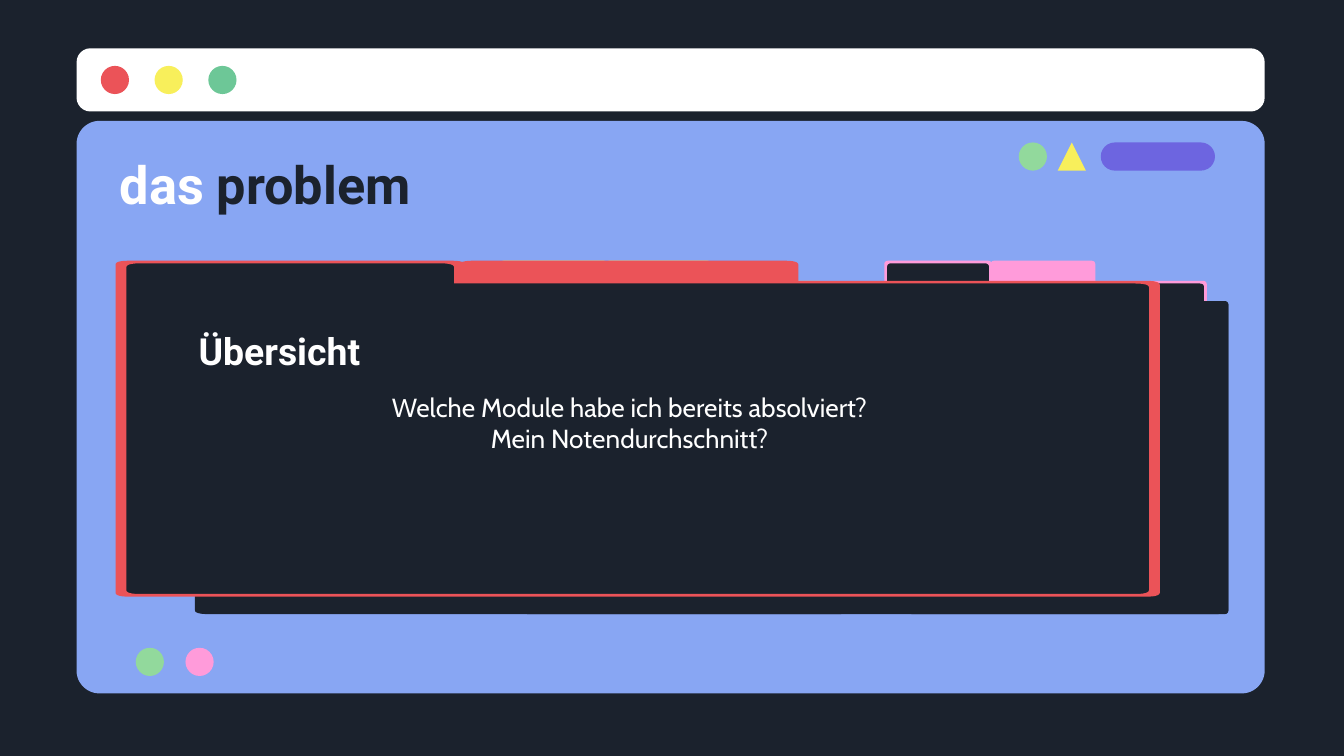
from dataclasses import dataclass
from typing import NamedTuple

from pptx import Presentation
from pptx.dml.color import RGBColor
from pptx.enum.shapes import MSO_SHAPE
from pptx.enum.text import MSO_ANCHOR, MSO_AUTO_SIZE, PP_ALIGN
from pptx.util import Inches, Pt


@dataclass(frozen=True)
class Theme:
    dark: str = "1B222D"
    white: str = "FFFFFF"
    blue: str = "88A6F3"
    red: str = "EB5358"
    yellow: str = "F8EF5B"
    green: str = "6DC797"
    mint: str = "92D99C"
    pink: str = "FF9BDA"
    purple: str = "6D65E0"
    heading_font: str = "Roboto"
    body_font: str = "Cabin"
    title_size: int = 28
    heading_size: int = 20
    body_size: int = 14


class Shape(NamedTuple):
    kind: MSO_SHAPE
    left: float
    top: float
    width: float
    height: float
    color: str
    adj: float | None = None


class Folder(NamedTuple):
    left: float
    width: float
    tab: float
    border: float
    back: float
    radius: float
    color: str


class Corner(NamedTuple):
    x: float
    y: float
    rounded: bool = True


T = Theme()
DOT = 0.21
FOLDER_TOP = 1.94
FOLDER_HEIGHT = 2.5
TAB_DROP = 0.15
BACK_DROP = 0.3
BACK_HEIGHT = 2.33
RADIUS_Y = 0.03
BORDER_Y = 0.02
CURVE_STEPS = 6

SHAPES = [
    Shape(MSO_SHAPE.ROUNDED_RECTANGLE, 0.57, 0.9, 8.84, 4.26, T.blue, 0.04),
    Shape(MSO_SHAPE.ROUNDED_RECTANGLE, 0.57, 0.36, 8.84, 0.47, T.white, 0.22),
    *(Shape(MSO_SHAPE.OVAL, 0.75 + 0.4 * i, 0.49, DOT, DOT, color)
      for i, color in enumerate((T.red, T.yellow, T.green))),
    Shape(MSO_SHAPE.OVAL, 7.58, 1.06, DOT, DOT, T.mint),
    Shape(MSO_SHAPE.ISOSCELES_TRIANGLE, 7.87, 1.06, DOT, DOT, T.yellow),
    Shape(MSO_SHAPE.ROUNDED_RECTANGLE, 8.19, 1.06, 0.85, DOT, T.purple, 0.5),
    Shape(MSO_SHAPE.OVAL, 1.38, 4.82, DOT, DOT, T.pink),
    Shape(MSO_SHAPE.OVAL, 1.01, 4.82, DOT, DOT, T.mint),
]
SMALL_FOLDERS = [
    Folder(left, 2.4, 0.8, 0.02, 0.18, 0.03, color)
    for left, color in ((6.58, T.pink), (3.72, T.yellow))
]
MAIN_FOLDER = Folder(0.86, 7.77, 2.6, 0.08, 0.59, 0.1, T.red)


def paint(sp, color: str) -> None:
    sp.shadow.inherit = False
    sp.fill.solid()
    sp.fill.fore_color.rgb = RGBColor.from_string(color)
    sp.line.fill.background()


def draw_shape(s, item: Shape) -> None:
    box = [Inches(v) for v in item[1:5]]
    sp = s.shapes.add_shape(item.kind, *box)
    if item.adj is not None:
        sp.adjustments[0] = item.adj
    paint(sp, item.color)


def curve(corners: list[Corner], rx: float) -> list[tuple[int, int]]:
    points = []
    for i, (x, y, rounded) in enumerate(corners):
        if not rounded:
            points.append((Inches(x), Inches(y)))
            continue
        ends = []
        for near in (corners[i - 1], corners[(i + 1) % len(corners)]):
            dx = (near.x > x) - (near.x < x)
            dy = (near.y > y) - (near.y < y)
            ends.append((x + dx * rx, y + dy * RADIUS_Y))
        (ax, ay), (bx, by) = ends
        for step in range(CURVE_STEPS + 1):
            t = step / CURVE_STEPS
            a, c, b = (1 - t) ** 2, 2 * t * (1 - t), t ** 2
            points.append((Inches(a * ax + c * x + b * bx),
                           Inches(a * ay + c * y + b * by)))
    return points


def draw_outline(s, contours: list[list[Corner]], rx: float, color: str) -> None:
    first, *others = [curve(contour, rx) for contour in contours]
    builder = s.shapes.build_freeform(*first[0], scale=1.0)
    builder.add_line_segments(first[1:], close=True)
    for points in others:
        builder.move_to(*points[0])
        builder.add_line_segments(points[1:], close=True)
    paint(builder.convert_to_shape(), color)


def rectangle(left: float, top: float, width: float, height: float,
              round_first: bool = True) -> list[Corner]:
    right, bottom = left + width, top + height
    return [Corner(left, top, round_first), Corner(right, top),
            Corner(right, bottom), Corner(left, bottom)]


def folder_outline(f: Folder, dx: float, dy: float) -> list[Corner]:
    left, right, tab = f.left + dx, f.left + f.width - dx, f.left + f.tab - dx
    top, bottom = FOLDER_TOP + dy, FOLDER_TOP + FOLDER_HEIGHT - dy
    shoulder = FOLDER_TOP + TAB_DROP + dy
    return [Corner(left, top), Corner(tab, top), Corner(tab, shoulder, False),
            Corner(right, shoulder), Corner(right, bottom), Corner(left, bottom)]


def draw_folder(s, f: Folder) -> None:
    page = f.width - f.border
    back = rectangle(f.left + f.back, FOLDER_TOP + BACK_DROP, page, BACK_HEIGHT, False)
    tab = rectangle(f.left + f.tab - f.border / 2, FOLDER_TOP, f.tab - f.border, BACK_DROP)
    front = folder_outline(f, f.border / 2, BORDER_Y / 2)
    frame = [folder_outline(f, 0, 0), folder_outline(f, f.border, BORDER_Y)]
    draw_outline(s, [back], f.radius, T.dark)
    draw_outline(s, [tab], f.radius, f.color)
    draw_outline(s, [front], f.radius, T.dark)
    draw_outline(s, frame, f.radius, f.color)


def format_frame(sp, anchor: MSO_ANCHOR, align: PP_ALIGN) -> None:
    tf = sp.text_frame
    tf.word_wrap = True
    tf.auto_size = MSO_AUTO_SIZE.NONE
    tf.vertical_anchor = anchor
    tf.margin_left = tf.margin_right = tf.margin_top = tf.margin_bottom = Inches(0.1)
    for p in tf.paragraphs:
        p.alignment = align


def format_run(r, font: str, size: int, color: str, bold: bool) -> None:
    r.font.name = font
    r.font.size = Pt(size)
    r.font.bold = bold
    r.font.color.rgb = RGBColor.from_string(color)


def add_text(s, box: tuple[float, float, float, float], text: str,
             anchor: MSO_ANCHOR, font: str, size: int, bold: bool) -> None:
    sp = s.shapes.add_textbox(*(Inches(v) for v in box))
    sp.text_frame.text = text
    format_frame(sp, anchor, PP_ALIGN.CENTER)
    for p in sp.text_frame.paragraphs:
        for r in p.runs:
            format_run(r, font, size, T.white, bold)


def place_title(s) -> None:
    sp = s.shapes.title
    sp.left, sp.top, sp.width, sp.height = (Inches(v) for v in (0.79, 1.06, 8.43, 0.62))
    p = sp.text_frame.paragraphs[0]
    for text, color in (("das ", T.white), ("problem", T.dark)):
        r = p.add_run()
        r.text = text
        format_run(r, T.heading_font, T.title_size, color, True)
    format_frame(sp, MSO_ANCHOR.MIDDLE, PP_ALIGN.LEFT)
    sp.element.getparent().append(sp.element)


def main() -> None:
    prs = Presentation()
    prs.slide_width = Inches(10)
    prs.slide_height = prs.slide_width * 9 // 16
    s = prs.slides.add_slide(prs.slide_layouts[5])
    s.background.fill.solid()
    s.background.fill.fore_color.rgb = RGBColor.from_string(T.dark)
    for item in SHAPES:
        draw_shape(s, item)
    for folder in SMALL_FOLDERS:
        draw_folder(s, folder)
    place_title(s)
    draw_folder(s, MAIN_FOLDER)
    add_text(s, (1.01, 2.32, 2.14, 0.58), "Übersicht",
             MSO_ANCHOR.MIDDLE, T.heading_font, T.heading_size, True)
    add_text(s, (1.01, 2.81, 7.35, 1.36),
             "Welche Module habe ich bereits absolviert?\nMein Notendurchschnitt?",
             MSO_ANCHOR.TOP, T.body_font, T.body_size, False)
    prs.save("out.pptx")


if __name__ == "__main__":
    main()
